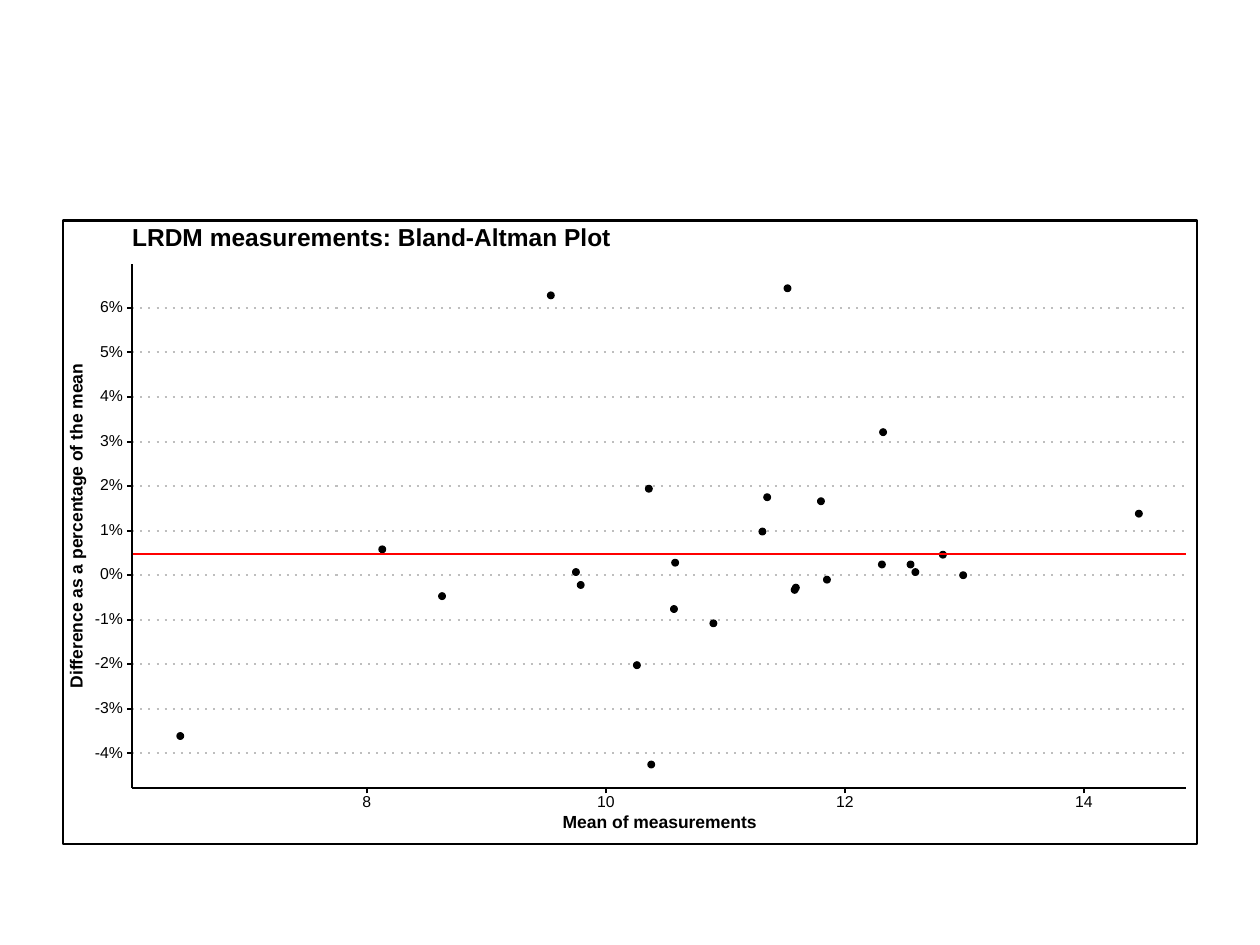
"""Build a slide with a Bland-Altman plot of LRDM measurements."""
import lxml.etree
import pptx
import pptx.dml.color
import pptx.enum.shapes
import pptx.enum.text
import pptx.oxml.ns
import pptx.util

Pt = pptx.util.Pt
color = pptx.dml.color.RGBColor.from_string
qn = pptx.oxml.ns.qn
Align = pptx.enum.text.PP_ALIGN
Shape = pptx.enum.shapes.MSO_SHAPE

LEFT, RIGHT, TOP, BOTTOM = 75.5, 678, 151, 450.4
TICK = 2.9
DOT = 3.8
MEASUREMENTS = [
    (10.26, -2.02), (10.90, -1.08), (11.80, 1.66), (10.36, 1.94), (11.58, -0.33),
    (11.52, 6.44), (10.38, -4.25), (9.54, 6.28), (11.31, 0.98), (9.79, -0.22),
    (12.32, 3.21), (14.46, 1.38), (6.44, -3.61), (8.13, 0.58), (10.58, 0.28),
    (11.59, -0.28), (12.59, 0.07), (9.75, 0.07), (12.82, 0.46), (10.57, -0.76),
    (12.31, 0.24), (11.35, 1.75), (12.55, 0.24), (11.85, -0.10), (12.99, 0),
    (8.63, -0.47),
]
MEAN_DIFFERENCE = 0.48
mean_positions = {mean: 346.2 + (mean - 10) * 68.3 for mean in (8, 10, 12, 14)}
percent_positions = {percent: 328.7 - percent * 25.46 for percent in range(-4, 7)}

deck = pptx.Presentation()
deck.slide_width, deck.slide_height = Pt(720), Pt(540)
page = deck.slides.add_slide(deck.slide_layouts[5])
shapes = page.shapes


def add_line(x1, y1, x2, y2, width, hex_color="000000", dash=None):
    """Draw a straight line without a shadow."""
    line = shapes.add_connector(
        pptx.enum.shapes.MSO_CONNECTOR.STRAIGHT, Pt(x1), Pt(y1), Pt(x2), Pt(y2))
    line.line.color.rgb = color(hex_color)
    line.line.width = Pt(width)
    if dash:
        outline = line.line._get_or_add_ln()
        lxml.etree.SubElement(outline, qn("a:prstDash")).set("val", dash)
    lxml.etree.SubElement(line._element.spPr, qn("a:effectLst"))


def write_label(text, x, y, width, size, align, bold=False, box=None):
    """Write one line of text, vertically centred on y, in a new or given box."""
    box = box or shapes.add_textbox(0, 0, 0, 0)
    box.left, box.top = Pt(x), Pt(y - size / 2)
    box.width, box.height = Pt(width), Pt(size)
    frame = box.text_frame
    frame.text = text
    frame.word_wrap = False
    frame.auto_size = pptx.enum.text.MSO_AUTO_SIZE.NONE
    frame.vertical_anchor = pptx.enum.text.MSO_ANCHOR.MIDDLE
    frame.margin_left = frame.margin_right = frame.margin_top = frame.margin_bottom = 0
    para = frame.paragraphs[0]
    para.alignment = align
    para.line_spacing = Pt(size)
    para.font.name, para.font.size, para.font.bold = "Arial", Pt(size), bold
    para.font.color.rgb = color("000000")
    return box


border = shapes.add_shape(Shape.RECTANGLE, Pt(36), Pt(126), Pt(648), Pt(356.4))
border.shadow.inherit = False
border.fill.solid()
border.fill.fore_color.rgb = color("FFFFFF")
border.line.color.rgb = color("000000")
border.line.width = Pt(1.16)
shapes.title._element.addprevious(border._element)
write_label("LRDM measurements: Bland-Altman Plot", LEFT, 136.8, 300, 14,
            Align.LEFT, True, shapes.title)

for y in percent_positions.values():
    add_line(LEFT, y, RIGHT, y, 1.16, "BEBEBE", "dot")

for mean, percent in MEASUREMENTS:
    x = mean_positions[10] + (mean - 10) * 68.3
    y = percent_positions[0] - percent * 25.46
    dot = shapes.add_shape(
        Shape.OVAL, Pt(x - DOT / 2), Pt(y - DOT / 2), Pt(DOT), Pt(DOT))
    dot.shadow.inherit = False
    dot.fill.solid()
    dot.fill.fore_color.rgb = color("000000")
    dot.line.color.rgb = color("000000")
    dot.line.width = Pt(0.71)

mean_y = percent_positions[0] - MEAN_DIFFERENCE * 25.46
add_line(LEFT, mean_y, RIGHT, mean_y, 1.07, "FF0000")

add_line(LEFT, BOTTOM, LEFT, TOP, 1.07)
for percent, y in percent_positions.items():
    write_label(f"{percent}%", 48.3, y, 22, 9, Align.RIGHT)
    add_line(LEFT - TICK, y, LEFT, y, 1.16)

add_line(LEFT, BOTTOM, RIGHT, BOTTOM, 1.07)
for mean, x in mean_positions.items():
    add_line(x, BOTTOM + TICK, x, BOTTOM, 1.16)
    write_label(str(mean), x - 10, 459, 20, 9, Align.CENTER)

write_label("Mean of measurements", 320.9, 470.2, 112, 10, Align.CENTER, True)
vertical_title = write_label("Difference as a percentage of the mean",
                             -49.2, 300.6, 187, 10, Align.CENTER, True)
vertical_title.rotation = 270

deck.save("out.pptx")
